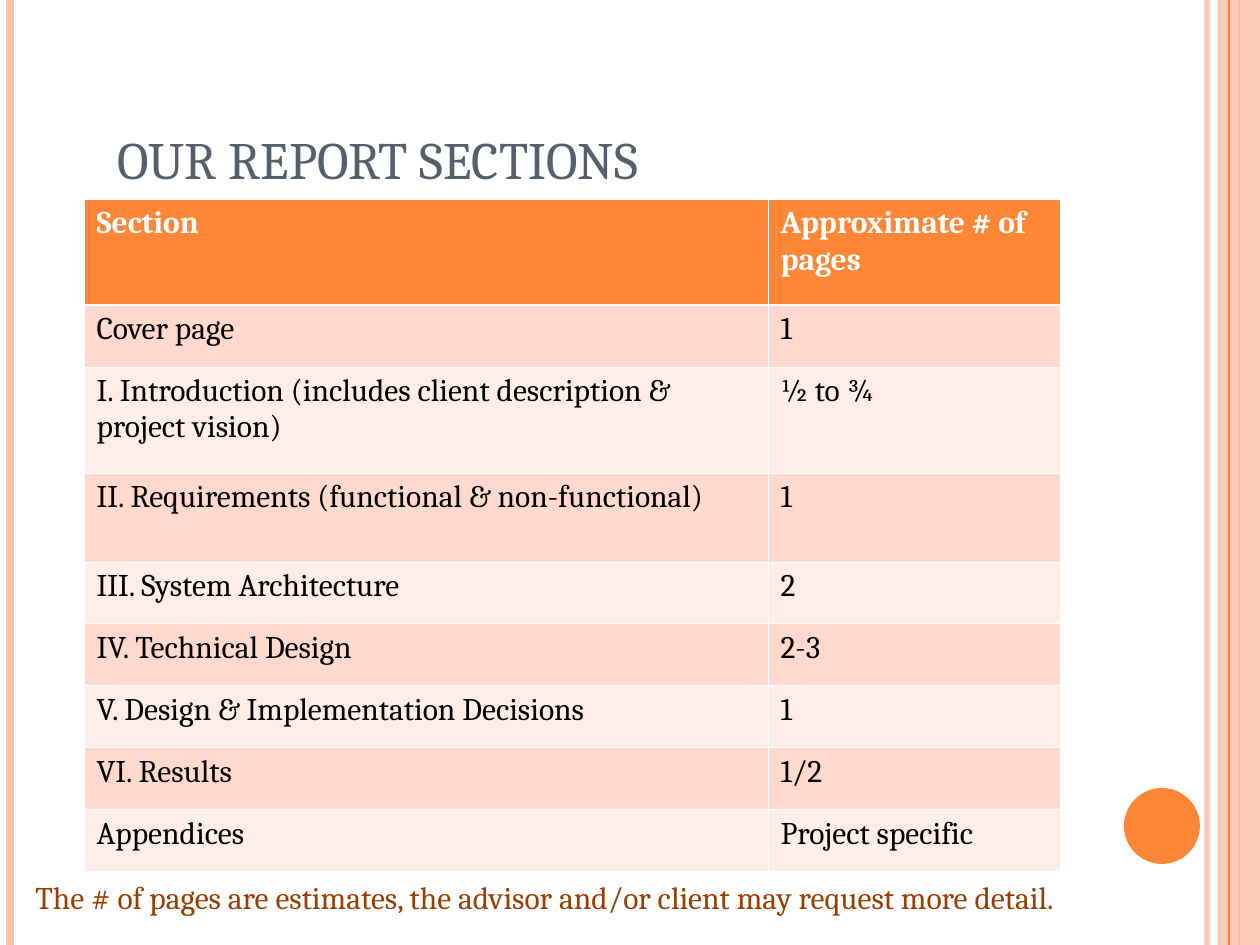
from dataclasses import dataclass
from typing import Any

from lxml import etree
from pptx import Presentation
from pptx import util as u
from pptx.dml.color import RGBColor
from pptx.enum import shapes, text
from pptx.oxml import ns


@dataclass(frozen=True)
class Theme:
    font: str = "Cambria"
    orange: str = "FE8637"
    peach: str = "FEC3AE"
    band_dark: str = "FFD9CE"
    band_light: str = "FFEDE8"
    white: str = "FFFFFF"
    black: str = "000000"
    slate: str = "575F6D"
    rust: str = "9A3D01"
    title_size: int = 30
    body_size: int = 18
    cell_border: float = 0.45
    header_border: float = 1.47


@dataclass(frozen=True)
class Stripe:
    x: int
    color: str
    width: float
    opacity: int = 100


@dataclass(frozen=True)
class Panel:
    kind: Any
    box: tuple[int, int, int, int]
    color: str
    opacity: int = 100


@dataclass(frozen=True)
class Caption:
    words: str
    box: tuple[int, int, int, int]
    size: int
    color: str
    frame: dict[str, Any]


@dataclass(frozen=True)
class ReportSection:
    title: str
    pages: str
    height: int = 62


THEME = Theme()
EMU_PER_PX = 914400 / 126
SLIDE_WIDTH, SLIDE_HEIGHT = 1260, 945
TABLE_LEFT, TABLE_TOP = 84, 199
COLUMN_WIDTHS = (684, 292)

OUTER_STRIPES = (
    Stripe(1207, THEME.peach, 3, 93),
    Stripe(10, THEME.peach, 4.5),
    Stripe(1239, THEME.orange, 1.5),
)
SIDE_BAND = Panel(shapes.MSO_SHAPE.RECTANGLE, (1218, 0, 42, SLIDE_HEIGHT), THEME.peach, 87)
INNER_STRIPE = Stripe(1229, THEME.orange, 0.75)
DISC = Panel(shapes.MSO_SHAPE.OVAL, (1124, 788, 76, 76), THEME.orange)

TITLE = Caption(
    "OUR REPORT SECTIONS", (105, 38, 1029, 158), THEME.title_size, THEME.slate,
    {"word_wrap": True, "vertical_anchor": text.MSO_ANCHOR.BOTTOM},
)
FOOTNOTE = Caption(
    "The # of pages are estimates, the advisor and/or client may request more detail.",
    (23, 872, 1183, 50), THEME.body_size, THEME.rust,
    {"word_wrap": False, "auto_size": text.MSO_AUTO_SIZE.SHAPE_TO_FIT_TEXT},
)
SECTIONS = (
    ReportSection("Section", "Approximate # of pages", 106),
    ReportSection("Cover page", "1"),
    ReportSection("I. Introduction (includes client description & project vision)", "½ to ¾", 106),
    ReportSection("II. Requirements (functional & non-functional)", "1", 89),
    ReportSection("III. System Architecture", "2"),
    ReportSection("IV. Technical Design", "2-3"),
    ReportSection("V. Design & Implementation Decisions", "1"),
    ReportSection("VI. Results", "1/2"),
    ReportSection("Appendices", "Project specific"),
)


def px(length: int) -> u.Emu:
    return u.Emu(round(length * EMU_PER_PX))


def set_opacity(element: Any, percent: int) -> None:
    if percent < 100:
        color = next(element.iter(ns.qn("a:srgbClr")))
        etree.SubElement(color, ns.qn("a:alpha"), val=str(percent * 1000))


def style_font(paragraph: Any, size: int, color: str, bold: bool = False) -> None:
    font = paragraph.runs[0].font
    for name, value in {"name": THEME.font, "size": u.Pt(size), "bold": bold}.items():
        setattr(font, name, value)
    font.color.rgb = RGBColor.from_string(color)


def draw_stripe(slide: Any, stripe: Stripe) -> None:
    line = slide.shapes.add_connector(
        shapes.MSO_CONNECTOR.STRAIGHT, px(stripe.x), 0, px(stripe.x), px(SLIDE_HEIGHT))
    line.line.color.rgb = RGBColor.from_string(stripe.color)
    line.line.width = u.Pt(stripe.width)
    properties = line._element.spPr
    set_opacity(properties, stripe.opacity)
    etree.SubElement(properties, ns.qn("a:effectLst"))


def draw_panel(slide: Any, panel: Panel) -> None:
    shape = slide.shapes.add_shape(panel.kind, *map(px, panel.box))
    shape.shadow.inherit = False
    shape.fill.solid()
    shape.fill.fore_color.rgb = RGBColor.from_string(panel.color)
    shape.line.fill.background()
    set_opacity(shape._element.spPr, panel.opacity)


def draw_caption(slide: Any, caption: Caption) -> None:
    frame = slide.shapes.add_textbox(*map(px, caption.box)).text_frame
    for name, value in caption.frame.items():
        setattr(frame, name, value)
    frame.text = caption.words
    style_font(frame.paragraphs[0], caption.size, caption.color)


def draw_border(cell: Any, side: str, width: float) -> None:
    edge = etree.SubElement(
        cell._tc.get_or_add_tcPr(), ns.qn(f"a:ln{side}"), w=str(u.Pt(width)))
    fill = etree.SubElement(edge, ns.qn("a:solidFill"))
    etree.SubElement(fill, ns.qn("a:srgbClr"), val=THEME.white)


def fill_cell(cell: Any, words: str, row: int) -> None:
    header = row == 0
    heavy_side = {0: "B", 1: "T"}.get(row)
    for side in "LRTB":
        draw_border(cell, side, THEME.header_border if side == heavy_side else THEME.cell_border)
    band = THEME.band_dark if row % 2 else THEME.band_light
    cell.fill.solid()
    cell.fill.fore_color.rgb = RGBColor.from_string(THEME.orange if header else band)
    cell.text = words
    style_font(cell.text_frame.paragraphs[0], THEME.body_size,
               THEME.white if header else THEME.black, header)


def draw_sections(slide: Any, sections: tuple[ReportSection, ...]) -> None:
    table = slide.shapes.add_table(
        len(sections), len(COLUMN_WIDTHS), px(TABLE_LEFT), px(TABLE_TOP),
        px(sum(COLUMN_WIDTHS)), px(sum(section.height for section in sections))).table
    for column, width in zip(table.columns, COLUMN_WIDTHS):
        column.width = px(width)
    for row, section in enumerate(sections):
        table.rows[row].height = px(section.height)
        for column, words in enumerate((section.title, section.pages)):
            fill_cell(table.cell(row, column), words, row)


def main() -> None:
    deck = Presentation()
    deck.slide_width, deck.slide_height = px(SLIDE_WIDTH), px(SLIDE_HEIGHT)
    slide = deck.slides.add_slide(deck.slide_layouts[6])
    for stripe in OUTER_STRIPES:
        draw_stripe(slide, stripe)
    draw_panel(slide, SIDE_BAND)
    draw_stripe(slide, INNER_STRIPE)
    draw_panel(slide, DISC)
    draw_caption(slide, TITLE)
    draw_sections(slide, SECTIONS)
    draw_caption(slide, FOOTNOTE)
    deck.save("out.pptx")


if __name__ == "__main__":
    main()
